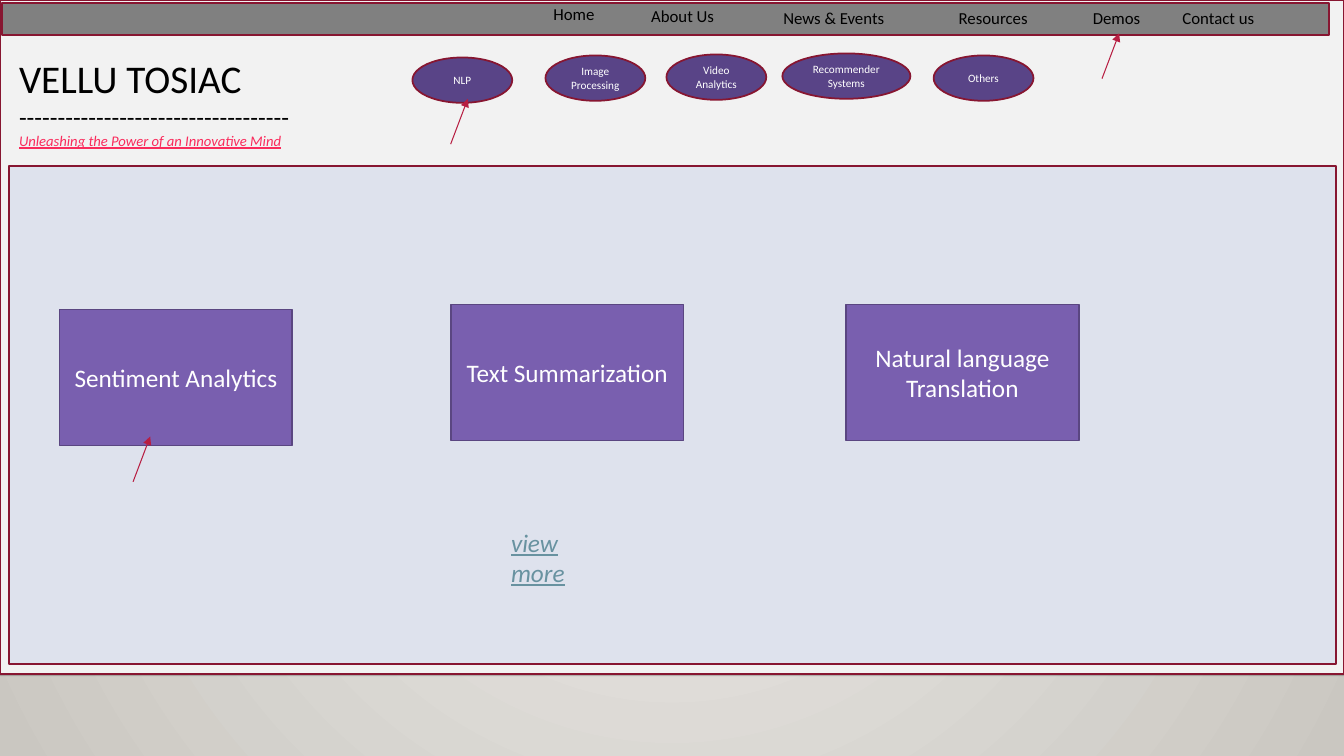
import pptx
import pptx.dml.color
import pptx.enum.dml
import pptx.enum.shapes
import pptx.enum.text
import pptx.oxml
import pptx.oxml.ns
import pptx.util
from dataclasses import dataclass

Inches = pptx.util.Inches
SHAPES = pptx.enum.shapes.MSO_SHAPE
NAMESPACE = pptx.oxml.ns.nsdecls("a")


@dataclass(frozen=True)
class Theme:
    font: str = "Calibri"
    backdrop_center: str = "ECEAE7"
    backdrop_edge: str = "CAC7C1"
    page: str = "F2F2F2"
    bar: str = "808080"
    panel: str = "DEE2ED"
    frame: str = "871631"
    topic: str = "594487"
    card: str = "795FAF"
    card_edge: str = "5A4681"
    arrow: str = "B71E42"
    tagline: str = "FA2B5C"
    link: str = "6892A0"
    dark: str = "000000"
    light: str = "FFFFFF"
    title_size: float = 28
    body_size: float = 18
    menu_size: float = 12
    tagline_size: float = 10.5
    topic_size: float = 8
    edge_width: float = 1.25
    arrow_width: float = 0.75


def rgb(value):
    return pptx.dml.color.RGBColor.from_string(value)


class SlideBuilder:
    def __init__(self, slide, theme):
        self.slide = slide
        self.theme = theme

    def backdrop(self):
        """Fill the background with a gradient spreading from the centre."""
        fill = self.slide.background.fill
        fill.gradient()
        colors = (self.theme.backdrop_center, self.theme.backdrop_edge)
        for stop, color in zip(fill.gradient_stops, colors):
            stop.color.rgb = rgb(color)
        gradient = self.slide.background._cSld.find(".//" + pptx.oxml.ns.qn("a:gradFill"))
        gradient.remove(gradient.find(pptx.oxml.ns.qn("a:lin")))
        gradient.append(pptx.oxml.parse_xml(
            f'<a:path {NAMESPACE} path="circle">'
            '<a:fillToRect l="50000" t="50000" r="50000" b="50000"/></a:path>'))

    def add_words(self, paragraph, text, size, color, **styles):
        run = paragraph.add_run()
        run.text = text
        formats = {"name": self.theme.font, "size": pptx.util.Pt(size), **styles}
        for attribute, value in formats.items():
            setattr(run.font, attribute, value)
        run.font.color.rgb = rgb(color)

    def box(self, kind, left, top, width, height, fill, edge, text="", size=0):
        shape = self.slide.shapes.add_shape(
            kind, Inches(left), Inches(top), Inches(width), Inches(height))
        shape.shadow.inherit = False
        shape.fill.solid()
        shape.fill.fore_color.rgb = rgb(fill)
        shape.line.color.rgb = rgb(edge)
        shape.line.width = pptx.util.Pt(self.theme.edge_width)
        if text:
            shape.text_frame.vertical_anchor = pptx.enum.text.MSO_ANCHOR.MIDDLE
            paragraph = shape.text_frame.paragraphs[0]
            paragraph.alignment = pptx.enum.text.PP_ALIGN.CENTER
            self.add_words(paragraph, text, size, self.theme.light)

    def text(self, left, top, width, height, *lines):
        """Add a text box; each line is (text, size, color, style dict)."""
        shape = self.slide.shapes.add_textbox(
            Inches(left), Inches(top), Inches(width), Inches(height))
        frame = shape.text_frame
        frame.word_wrap = True
        frame.auto_size = pptx.enum.text.MSO_AUTO_SIZE.SHAPE_TO_FIT_TEXT
        for index, (text, size, color, styles) in enumerate(lines):
            paragraph = frame.add_paragraph() if index else frame.paragraphs[0]
            self.add_words(paragraph, text, size, color, **styles)

    def line(self, start, end, color, width):
        connector = self.slide.shapes.add_connector(
            pptx.enum.shapes.MSO_CONNECTOR.STRAIGHT,
            *(Inches(value) for value in (*start, *end)))
        connector.line.color.rgb = rgb(color)
        connector.line.width = pptx.util.Pt(width)
        connector._element.spPr.append(
            pptx.oxml.parse_xml(f"<a:effectLst {NAMESPACE}/>"))
        return connector.line._get_or_add_ln()

    def floor_line(self, top):
        """Draw a faint line across the slide at 20 % opacity."""
        outline = self.line((0, top), (13.33, top), self.theme.dark, 1)
        color = outline.find(".//" + pptx.oxml.ns.qn("a:srgbClr"))
        color.append(pptx.oxml.parse_xml(f'<a:alpha {NAMESPACE} val="20000"/>'))

    def pointer(self, left, top):
        """Draw a slanted arrow whose tail starts at left, top."""
        outline = self.line((left, top), (left + 0.17, top - 0.45),
                            self.theme.arrow, self.theme.arrow_width)
        outline.append(pptx.oxml.parse_xml(f'<a:tailEnd {NAMESPACE} type="triangle"/>'))


def main():
    presentation = pptx.Presentation()
    presentation.slide_width = Inches(13.33)
    presentation.slide_height = Inches(7.5)
    slide = presentation.slides.add_slide(presentation.slide_layouts[6])
    theme = Theme()
    builder = SlideBuilder(slide, theme)

    builder.backdrop()
    builder.floor_line(6.7)
    frames = [
        (0, 0, 13.33, 6.69, theme.page),
        (0.02, 0.03, 13.16, 0.32, theme.bar),
        (0.09, 1.65, 13.16, 4.94, theme.panel),
    ]
    for left, top, width, height, fill in frames:
        builder.box(SHAPES.RECTANGLE, left, top, width, height, fill, theme.frame)

    menu = [
        ("Home", 5.39, -0.01, 0.64),
        ("About Us", 6.36, 0.01, 0.87),
        ("News & Events", 7.67, 0.03, 1.29),
        ("Resources", 9.41, 0.03, 0.93),
        ("Demos", 10.74, 0.03, 0.71),
        ("Contact us", 11.63, 0.03, 1.37),
    ]
    for label, left, top, width in menu:
        builder.text(left, top, width, 0.3, (label, theme.menu_size, theme.dark, {}))

    link_style = {"italic": True, "underline": True}
    builder.text(
        0.09, 0.49, 3.21, 1.35,
        ("VELLU TOSIAC", theme.title_size, theme.dark, {}),
        ("-" * 35, theme.body_size, theme.dark, {}),
        ("Unleashing the Power of an Innovative Mind",
         theme.tagline_size, theme.tagline, link_style))

    topics = [
        ("NLP", 4.09, 0.57, 0.99),
        ("Image Processing", 5.41, 0.55, 0.99),
        ("Video Analytics", 6.61, 0.54, 0.99),
        ("Recommender Systems", 7.76, 0.53, 1.27),
        ("Others", 9.26, 0.55, 0.99),
    ]
    for label, left, top, width in topics:
        builder.box(SHAPES.OVAL, left, top, width, 0.45, theme.topic, theme.frame,
                    label, theme.topic_size)

    cards = [
        ("Sentiment Analytics", 0.59, 3.07),
        ("Text Summarization", 4.47, 3.02),
        ("Natural language Translation", 8.39, 3.02),
    ]
    for label, left, top in cards:
        builder.box(SHAPES.RECTANGLE, left, top, 2.31, 1.35, theme.card, theme.card_edge,
                    label, theme.body_size)

    builder.text(4.97, 5.18, 1.22, 0.4,
                 ("view more", theme.body_size, theme.link, link_style))
    for left, top in [(10.93, 0.78), (4.47, 1.43), (1.32, 4.78)]:
        builder.pointer(left, top)

    presentation.save("out.pptx")


if __name__ == "__main__":
    main()
